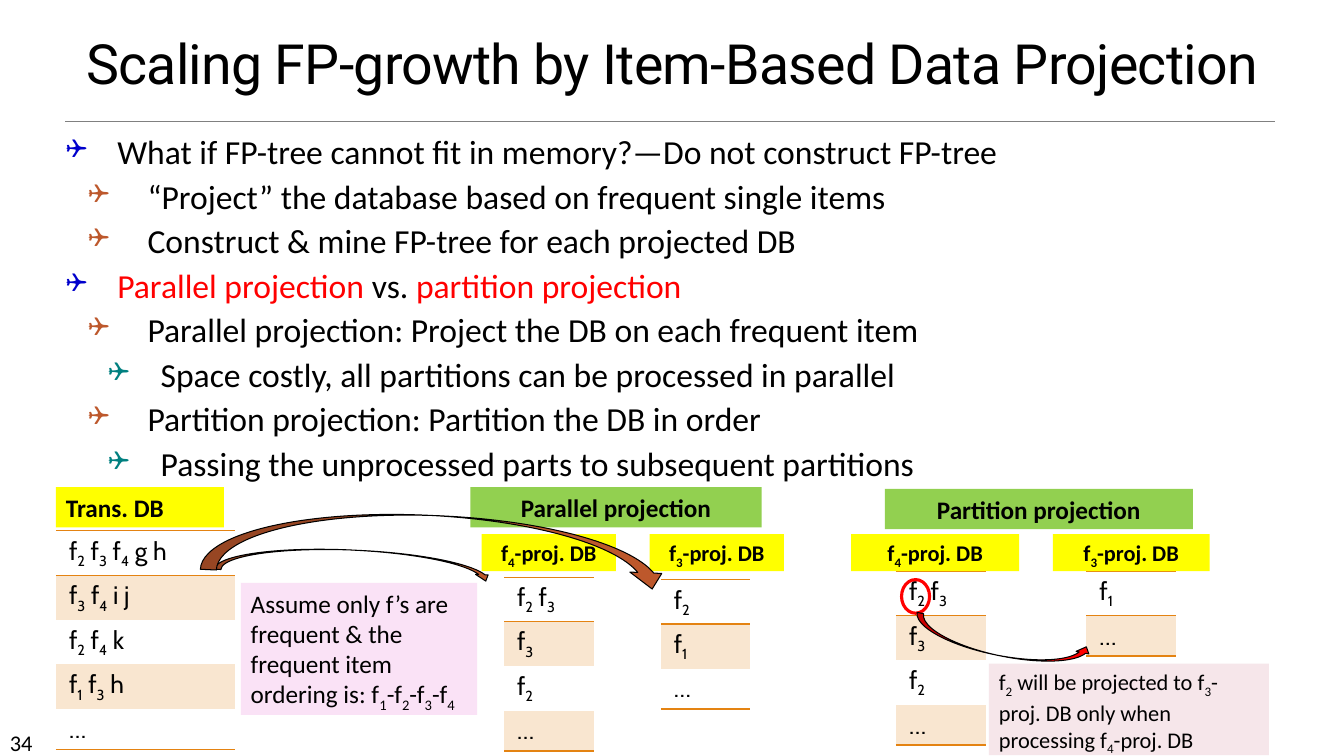
from lxml import etree
from pptx import Presentation
from pptx import util as u
from pptx.dml.color import RGBColor
from pptx.enum import shapes, text
from pptx.oxml.ns import qn

WIDE, HIGH = u.Inches(13.333), u.Inches(7.5)
COLS, ROWS = 120, 90  # grid laid over the slide
HEX = {
    "black": "000000", "red": "FF0000", "rule": "808080", "blue": "0000CC",
    "rust": "BD582C", "teal": "008080", "yellow": "FFFF00", "green": "92D050",
    "orange": "E48312", "band": "F9E6D0", "pink": "FAE2F6", "rose": "F6E6EA",
}
PLAIN = "{2D5ABB26-0587-4C30-8999-92F81FD0307C}"
# Colour, left margin and hanging indent of the bullet at each level
LEVELS = [("blue", 0.51, 0.51), ("rust", 0.81, 0.59), ("teal", 0.94, 0.52)]
POINTS = [
    (0, "What if FP-tree cannot fit in memory?—Do not construct FP-tree"),
    (1, "“Project” the database based on frequent single items"),
    (1, "Construct & mine FP-tree for each projected DB"),
    (0, "*Parallel projection *vs. *partition projection*"),
    (1, "Parallel projection: Project the DB on each frequent item"),
    (2, "Space costly, all partitions can be processed in parallel"),
    (1, "Partition projection: Partition the DB in order"),
    (2, "Passing the unprocessed parts to subsequent partitions"),
]


def rgb(name):
    return RGBColor.from_string(HEX[name])


def grid(x, y, w, h):
    return [int(v) for v in (WIDE * x / COLS, HIGH * y / ROWS,
                             WIDE * w / COLS, HIGH * h / ROWS)]


def write(para, words, size=18, face="Calibri", bold=False, align=None):
    """Text between stars is red; a character after _ is a subscript."""
    if align:
        para.alignment = align
    for i, part in enumerate(words.split("*")):
        first, *rest = part.split("_")
        runs = [(first, False)]
        for bit in rest:
            runs += [(bit[:1], True), (bit[1:], False)]
        for chunk, sub in runs:
            if not chunk:
                continue
            run = para.add_run()
            run.text = chunk
            font = run.font
            font.size, font.name, font.bold = u.Pt(size), face, bold
            font.color.rgb = rgb("red" if i % 2 else "black")
            if sub:
                font._element.set("baseline", "-25000")


def shape(slide, kind, place, fill=None, line=None, width=0.75):
    item = slide.shapes.add_shape(kind, *grid(*place))
    item.shadow.inherit = False
    if fill:
        item.fill.solid()
        item.fill.fore_color.rgb = rgb(fill)
    else:
        item.fill.background()
    if line:
        item.line.color.rgb = rgb(line)
        item.line.width = u.Pt(width)
    else:
        item.line.fill.background()
    return item


def label(slide, words, place, fill, align=text.PP_ALIGN.CENTER, **look):
    box = shape(slide, shapes.MSO_SHAPE.RECTANGLE, place, fill)
    frame = box.text_frame
    frame.word_wrap = True
    frame.vertical_anchor = text.MSO_ANCHOR.TOP
    write(frame.paragraphs[0], words, align=align, **look)


def arrow(slide, place, turn, fill, flip=False):
    item = shape(slide, shapes.MSO_SHAPE.CURVED_UP_ARROW, place, fill, "black")
    item.rotation = turn
    if flip:
        item._element.spPr.find(qn("a:xfrm")).set("flipV", "1")


def border(cell, side, shown):
    props = cell._tc.get_or_add_tcPr()
    edge = etree.Element(qn("a:" + side), w=str(u.Pt(1)))
    if shown:
        fill = etree.SubElement(edge, qn("a:solidFill"))
        etree.SubElement(fill, qn("a:srgbClr"), val=HEX["orange"])
    else:
        etree.SubElement(edge, qn("a:noFill"))
    props.insert(len(props.findall(qn("a:lnT"))), edge)


def table(slide, items, x, y, w=8):
    count = len(items)
    place = grid(x, y, w, 4.8 * count)
    grille = slide.shapes.add_table(count, 1, *place).table
    grille._tbl.tblPr.find(qn("a:tableStyleId")).text = PLAIN
    for i, words in enumerate(items):
        cell = grille.cell(i, 0)
        cell.margin_left = cell.margin_right = u.Inches(0.13)
        if i % 2:
            cell.fill.solid()
            cell.fill.fore_color.rgb = rgb("band")
        else:
            cell.fill.background()
        border(cell, "lnT", i < 2)
        border(cell, "lnB", i in (0, count - 1))
        write(cell.text_frame.paragraphs[0], words, face="Cabin")


def bullet(para, level):
    tint, left, hang = LEVELS[level]
    props = para._p.get_or_add_pPr()
    props.set("marL", str(u.Inches(left)))
    props.set("indent", str(-u.Inches(hang)))
    hue = etree.SubElement(props, qn("a:buClr"))
    etree.SubElement(hue, qn("a:srgbClr"), val=HEX[tint])
    etree.SubElement(props, qn("a:buSzPct"), val="80000")
    etree.SubElement(props, qn("a:buFont"), typeface="Wingdings")
    etree.SubElement(props, qn("a:buChar"), char="❑")


def body(slide):
    frame = slide.shapes.add_textbox(*grid(5, 15, 113, 43)).text_frame
    frame.word_wrap = True
    for i, (level, words) in enumerate(POINTS):
        para = frame.add_paragraph() if i else frame.paragraphs[0]
        para.level = level
        bullet(para, level)
        if i:
            para.space_before = u.Pt(3)
        write(para, words, size=24)


def head(slide):
    title = slide.shapes.title
    title.left, title.top, title.width, title.height = grid(0, 4, 120, 8)
    frame = title.text_frame
    frame.auto_size = text.MSO_AUTO_SIZE.NONE
    frame.vertical_anchor = text.MSO_ANCHOR.MIDDLE
    para = frame.paragraphs[0]
    para.line_spacing = 0.85
    write(para, "Scaling FP-growth by Item-Based Data Projection", size=39.6,
          face="Roboto", align=text.PP_ALIGN.CENTER)
    para.runs[0].font._element.set("spc", "-50")
    # Rule under the title
    x, y, w, _ = grid(5.85, 14.5, 108, 0)
    rule = slide.shapes.add_connector(
        shapes.MSO_CONNECTOR.STRAIGHT, x, y, x + w, y)
    rule.line.color.rgb = rgb("rule")
    rule.line.width = u.Pt(0.5)
    etree.SubElement(rule._element.spPr, qn("a:effectLst"))


def main():
    deck = Presentation()
    deck.slide_width, deck.slide_height = WIDE, HIGH
    slide = deck.slides.add_slide(deck.slide_layouts[5])
    left = text.PP_ALIGN.LEFT
    head(slide)
    body(slide)
    page = slide.shapes.add_textbox(*grid(0, 86.2, 10.5, 3.6))
    write(page.text_frame.paragraphs[0], "34", size=16)

    # Transactions
    label(slide, "Assume only f’s are frequent & the frequent item "
          "ordering is: f_1-f_2-f_3-f_4", (21.5, 69.4, 21.1, 15.7), "pink", left)
    table(slide, ["f_2 f_3 f_4 g h", "f_3 f_4 i j", "f_2 f_4 k", "f_1 f_3 h",
                  "…"], 5, 63.2, 16)
    label(slide, "Trans. DB", (5, 58, 15, 4.8), "yellow", left, bold=True)

    # Both projections
    label(slide, "Parallel projection", (42, 58, 26, 4.8), "green", bold=True)
    label(slide, "Partition projection", (79, 58.2, 27.5, 4.8), "green",
          bold=True)
    split = ["f_2 f_3", "f_3", "f_2", "…"]
    for items, x, y in [(split, 45, 68.7), (["f_2", "f_1", "…"], 59, 69),
                        (split, 80, 68), (["f_1", "…"], 97, 68)]:
        table(slide, items, x, y)
    for item, x, w in [(4, 43, 12), (3, 58, 12), (4, 76, 15), (3, 94, 14)]:
        label(slide, f"f_{item}-proj. DB", (x, 63.6, w, 4.4), "yellow",
              size=16, bold=True)

    # Marks and arrows
    shape(slide, shapes.MSO_SHAPE.OVAL, (80.5, 69, 2.5, 4), None, "red", 2.25)
    label(slide, "f_2 will be projected to f_3-proj. DB only when processing "
          "f_4-proj. DB", (88.3, 79, 25, 10.9), "rose", left, size=16)
    arrow(slide, (81.5, 75, 16, 3.1), 11.5, "red")
    arrow(slide, (19.2, 65.5, 24.8, 3), 2.5, "rust", flip=True)
    arrow(slide, (18, 61.4, 41.8, 7.6), 2.5, "rust", flip=True)
    deck.save("out.pptx")


if __name__ == "__main__":
    main()
